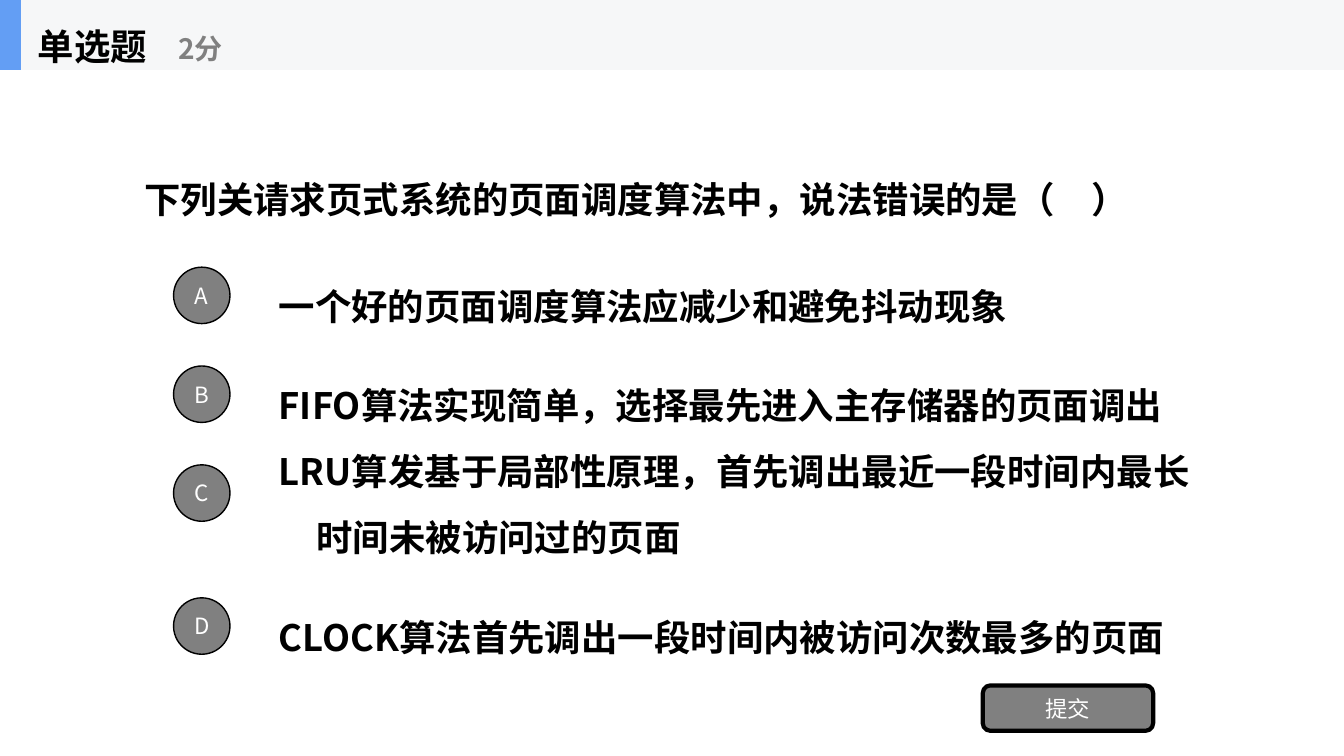
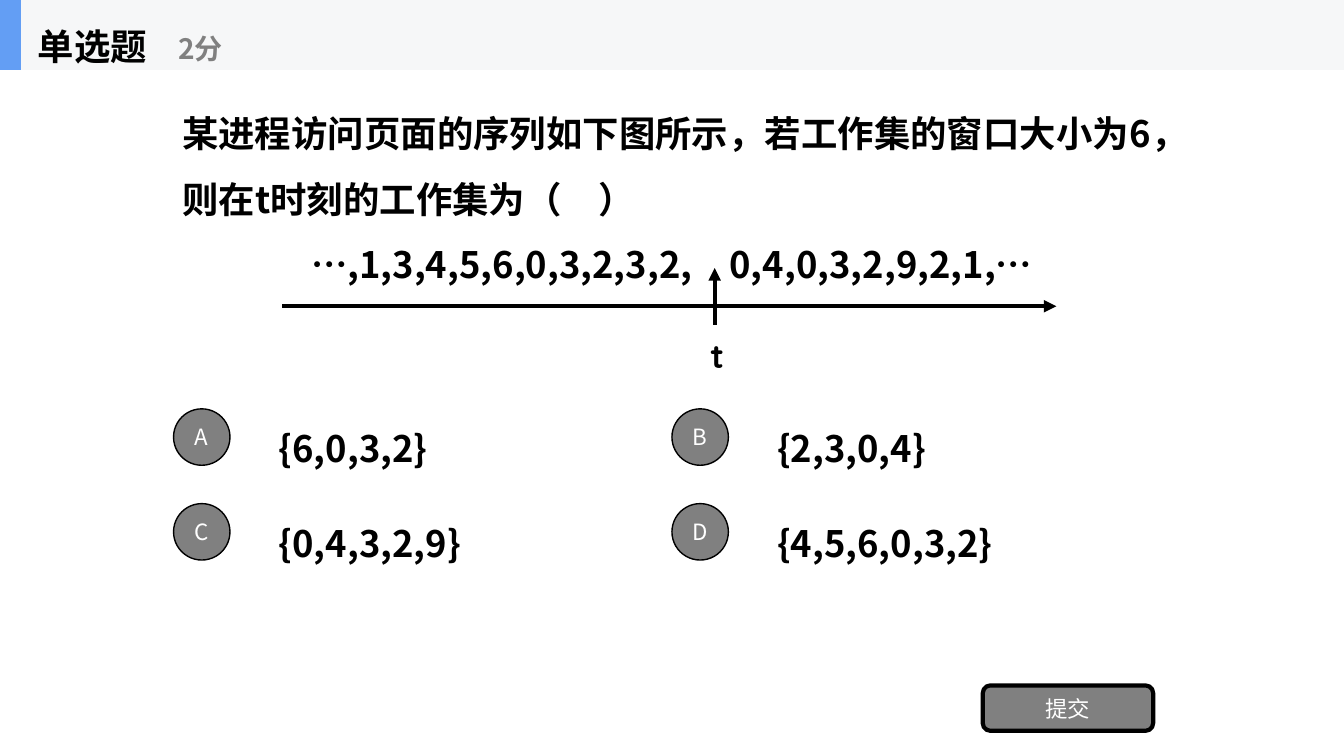
from lxml import etree
from pptx import Presentation
from pptx import util as u
from pptx.dml import color
from pptx.enum import shapes, text
from pptx.oxml import ns

COLOURS = {"ink": "000000", "grey": "808080", "white": "FFFFFF", "band": "F6F7F8", "accent": "639EF4"}
FONT = "Noto Sans CJK SC"
WIDTH, HEIGHT = 960, 540
BAND_HEIGHT = 50
HANGING = 27
BADGE_SIZE = 40.3
OPTION_HEIGHT = 50.4
OPTION_GAP = 68


def rgb(name):
    return color.RGBColor.from_string(COLOURS[name])


class Quiz:
    """Draws single-choice questions in one shared style."""

    def __init__(self):
        self.deck = Presentation()
        self.deck.slide_width, self.deck.slide_height = u.Pt(WIDTH), u.Pt(HEIGHT)
        self.page = None

    def new_page(self):
        self.page = self.deck.slides.add_slide(self.deck.slide_layouts[6])
        self.header()
        self.shape("ROUNDED_RECTANGLE", (702, 489.6, 121.7, 32.4), "grey", 3, "提交")

    def header(self):
        group = self.page.shapes.add_group_shape().shapes
        self.shape("RECTANGLE", (0, 0, WIDTH, BAND_HEIGHT), "band", holder=group)
        self.shape("RECTANGLE", (0, 0, 15, BAND_HEIGHT), "accent", holder=group)
        self.text((20, 0, 150, BAND_HEIGHT), "单选题", holder=group)
        self.text((120.3, 8.6, 180, 40), "2分", 20, "grey", holder=group)

    def format(self, para, size, colour, bold=False, font=FONT):
        for span in para.runs:
            span.font.size, span.font.bold, span.font.name = u.Pt(size), bold, font
            span.font.color.rgb = rgb(colour)
            props = span.font._element
            etree.SubElement(props, ns.qn("a:ea")).set("typeface", font)

    def text(self, place, words, size=26, colour="ink", font=FONT, hanging=True, holder=None):
        box = (holder or self.page.shapes).add_textbox(*map(u.Pt, place))
        frame = box.text_frame
        frame.word_wrap = True
        frame.vertical_anchor = text.MSO_ANCHOR.MIDDLE
        frame.text = words
        for para in frame.paragraphs:
            para.line_spacing = 1.5
            if hanging:
                self.indent(para, -HANGING)
            self.format(para, size, colour, True, font)
        return frame

    def indent(self, para, first):
        props = para._p.get_or_add_pPr()
        props.set("marL", str(u.Pt(HANGING)))
        props.set("indent", str(u.Pt(first)))

    def shape(self, kind, place, fill, line=0, words="", holder=None):
        box = (holder or self.page.shapes).add_shape(
            getattr(shapes.MSO_SHAPE, kind), *map(u.Pt, place))
        box.shadow.inherit = False
        box.fill.solid()
        box.fill.fore_color.rgb = rgb(fill)
        if line:
            box.line.color.rgb = rgb("ink")
            box.line.width = u.Pt(line)
        else:
            box.line.fill.background()
        if words:
            frame = box.text_frame
            frame.margin_left = frame.margin_right = 0
            frame.margin_top = frame.margin_bottom = 0
            frame.vertical_anchor = text.MSO_ANCHOR.MIDDLE
            frame.text = words
            frame.paragraphs[0].alignment = text.PP_ALIGN.CENTER
            self.format(frame.paragraphs[0], 16, "white")

    def question(self, words):
        return self.text((96, BAND_HEIGHT, 768, 168.5), words)

    def option(self, letter, words, left, top, width):
        self.text((left + OPTION_GAP, top, width, OPTION_HEIGHT), words)
        badge_top = top + (OPTION_HEIGHT - BADGE_SIZE) / 2
        self.shape("OVAL", (left, badge_top, BADGE_SIZE, BADGE_SIZE), "grey", 1, letter)

    def arrow(self, *ends):
        line = self.page.shapes.add_connector(shapes.MSO_CONNECTOR.STRAIGHT, *map(u.Pt, ends))
        line.line.color.rgb = rgb("ink")
        line.line.width = u.Pt(3)
        outline = line.line._get_or_add_ln()
        etree.SubElement(outline, ns.qn("a:tailEnd")).set("type", "triangle")
        etree.SubElement(line._element.spPr, ns.qn("a:effectLst"))


def paging_question(quiz):
    quiz.new_page()
    quiz.question("下列关请求页式系统的页面调度算法中，说法错误的是（　）")
    options = (
        ("A", 185.8, "一个好的页面调度算法应减少和避免抖动现象"),
        ("B", 256.4, "FIFO算法实现简单，选择最先进入主存储器的页面调出"),
        ("C", 327, "LRU算发基于局部性原理，首先调出最近一段时间内最长时间未被访问过的页面"),
        ("D", 422, "CLOCK算法首先调出一段时间内被访问次数最多的页面"),
    )
    for letter, top, words in options:
        quiz.option(letter, words, 124, top, 672)


def working_set_question(quiz):
    quiz.new_page()
    frame = quiz.question(
        "某进程访问页面的序列如下图所示，若工作集的窗口大小为6，则在t时刻的工作集为（　）\n"
        "…,1,3,4,5,6,0,3,2,3,2,　0,4,0,3,2,9,2,1,…")
    stem, sequence = frame.paragraphs
    quiz.indent(stem, 0)
    sequence.alignment = text.PP_ALIGN.CENTER
    quiz.arrow(201.6, 218.8, 754.6, 218.8)
    quiz.arrow(510.5, 232, 510.5, 191.5)
    label = quiz.text((500.4, 221, 21.6, 45.4), "t", 24, font="Quicksand", hanging=False)
    label.word_wrap = False
    label.vertical_anchor = text.MSO_ANCHOR.TOP
    answers = ("{6,0,3,2}", "{2,3,0,4}", "{0,4,3,2,9}", "{4,5,6,0,3,2}")
    for index, (letter, words) in enumerate(zip("ABCD", answers)):
        row, column = divmod(index, 2)
        quiz.option(letter, words, 124 + 356 * column, 287 + 67.7 * row, 288)


def main():
    quiz = Quiz()
    paging_question(quiz)
    working_set_question(quiz)
    quiz.deck.save("out.pptx")


if __name__ == "__main__":
    main()
